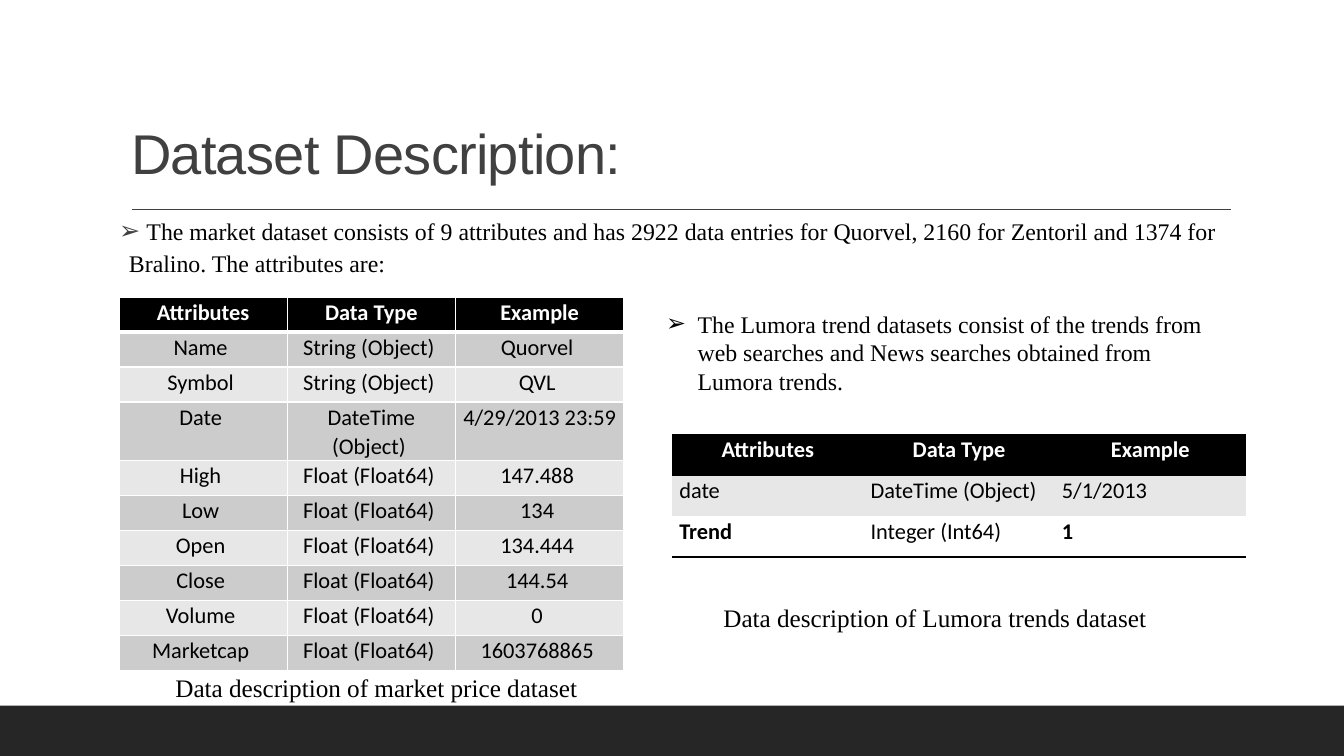
"""Builds the dataset description slide with two attribute tables."""
from lxml import etree
from pptx import Presentation
from pptx.dml.color import RGBColor
from pptx.enum.shapes import MSO_CONNECTOR, MSO_SHAPE
from pptx.enum.text import MSO_ANCHOR, MSO_AUTO_SIZE, PP_ALIGN
from pptx.oxml.ns import qn
from pptx.util import Cm, Pt

BOTTOM = MSO_ANCHOR.BOTTOM
CENTER, LEFT = PP_ALIGN.CENTER, PP_ALIGN.LEFT
NO_FIT = MSO_AUTO_SIZE.NONE
RECT = MSO_SHAPE.RECTANGLE
STRAIGHT = MSO_CONNECTOR.STRAIGHT
SERIF = "Times New Roman"
PLAIN_STYLE = "{2D5ABB26-0587-4C30-8999-92F81FD0307C}"
COLORS = {"black": "000000", "white": "FFFFFF", "dark": "262626",
          "gray": "404040", "band": "CCCCCC", "light": "E7E7E7"}
HEADER = ("Attributes", "Data Type", "Example")
MARKET = [("Name", "String (Object)", "Quorvel"),
          ("Symbol", "String (Object)", "QVL"),
          ("Date", "DateTime (Object)", "4/29/2013 23:59")]
MARKET += [(name, "Float (Float64)", value) for name, value in (
    ("High", "147.488"), ("Low", "134"), ("Open", "134.444"),
    ("Close", "144.54"), ("Volume", "0"), ("Marketcap", "1603768865"))]
TRENDS = [("date", "DateTime (Object)", "5/1/2013"),
          ("Trend", "Integer (Int64)", "1")]


def rgb(name):
    """Return the named colour."""
    return RGBColor.from_string(COLORS[name])


def place(sp, x, y, w, h):
    """Move and size a shape in centimetres."""
    sp.left, sp.top, sp.width, sp.height = Cm(x), Cm(y), Cm(w), Cm(h)


def add_run(p, text, size, font=SERIF, color="black", bold=False):
    """Add one formatted run."""
    r = p.add_run()
    r.text = text
    r.font.size, r.font.name, r.font.bold = Pt(size), font, bold
    r.font.color.rgb = rgb(color)
    return r


def set_bullet(p, indent, color):
    """Give a paragraph an arrow bullet and a hanging indent."""
    pPr = p._p.get_or_add_pPr()
    pPr.set("marL", str(Cm(indent)))
    pPr.set("indent", str(-Cm(indent)))
    clr = etree.SubElement(pPr, qn("a:buClr"))
    etree.SubElement(clr, qn("a:srgbClr"), val=COLORS[color])
    etree.SubElement(pPr, qn("a:buFont"), typeface="Arial")
    etree.SubElement(pPr, qn("a:buChar"), char="➢")


def add_text(s, text, box, size):
    """Add a wrapped text box and return its paragraph."""
    sp = s.shapes.add_textbox(*map(Cm, box))
    sp.text_frame.word_wrap = True
    p = sp.text_frame.paragraphs[0]
    add_run(p, text, size)
    return p


def set_borders(cell, borders):
    """Draw the given cell sides, each as a colour and a width."""
    tcPr = cell._tc.get_or_add_tcPr()
    for side in "LRTB":
        if side in borders:
            color, width = borders[side]
            ln = etree.SubElement(tcPr, qn(f"a:ln{side}"), w=str(Pt(width)))
            fill = etree.SubElement(ln, qn("a:solidFill"))
            etree.SubElement(fill, qn("a:srgbClr"), val=COLORS[color])


def fill_cell(cell, text, fill, color, align, bold, borders):
    """Format one table cell and write its text."""
    set_borders(cell, borders)
    cell.fill.solid()
    cell.fill.fore_color.rgb = rgb(fill)
    cell.margin_left = cell.margin_right = Cm(0.18)
    cell.margin_top = cell.margin_bottom = 0
    p = cell.text_frame.paragraphs[0]
    p.alignment, p.line_spacing = align, 1.07
    add_run(p, text, 16, "Calibri", color, bold)


def add_grid(s, x, y, col_w, row_h, count):
    """Add an unstyled three-column table."""
    tbl = s.shapes.add_table(count, 3, Cm(x), Cm(y),
                             Cm(3 * col_w), Cm(row_h * count)).table
    tbl._tbl.tblPr.find(qn("a:tableStyleId")).text = PLAIN_STYLE
    for col in tbl.columns:
        col.width = Cm(col_w)
    for row in tbl.rows:
        row.height = Cm(row_h)
    return tbl


def add_market_table(s):
    """Add the banded market price table."""
    tbl = add_grid(s, 3, 7.49, 4.24, 0.88, len(MARKET) + 1)
    grid = {side: ("white", 1) for side in "LRTB"}
    head = {**grid, "B": ("white", 3)}
    for j, text in enumerate(HEADER):
        fill_cell(tbl.cell(0, j), text, "black", "white", CENTER, True, head)
    for i, row in enumerate(MARKET, 1):
        borders = {**grid, "T": ("white", 3)} if i == 1 else grid
        for j, text in enumerate(row):
            fill_cell(tbl.cell(i, j), text + " ", "band" if i % 2 else "light",
                      "black", CENTER, False, borders)


def add_trends_table(s):
    """Add the search trends table with ruled header and end."""
    tbl = add_grid(s, 16.94, 10.95, 4.82, 1.03, len(TRENDS) + 1)
    rule = ("black", 1.5)
    for j, text in enumerate(HEADER):
        fill_cell(tbl.cell(0, j), text, "black", "white", CENTER, True,
                  {"T": rule, "B": rule})
    for i, row in enumerate(TRENDS, 1):
        last = i == len(TRENDS)
        for j, text in enumerate(row):
            fill_cell(tbl.cell(i, j), text, "white" if last else "light",
                      "black", LEFT, last and j != 1,
                      {"B": rule} if last else {})


def add_frame(s):
    """Add the bottom band and the rule under the title."""
    sp = s.shapes.add_shape(RECT, 0, Cm(17.78), Cm(33.87), Cm(1.27))
    sp.shadow.inherit = False
    sp.fill.solid()
    sp.fill.fore_color.rgb = rgb("dark")
    sp.line.fill.background()
    cx = s.shapes.add_connector(STRAIGHT, Cm(3.33), Cm(5.28), Cm(31.01), Cm(5.28))
    cx.line.color.rgb = rgb("gray")
    cx.line.width = Pt(1.25)
    etree.SubElement(cx._element.spPr, qn("a:effectLst"))


def fill_title(sp):
    """Place and write the title."""
    place(sp, 3.05, 0.79, 27.94, 4.04)
    tf = sp.text_frame
    tf.auto_size, tf.vertical_anchor = NO_FIT, BOTTOM
    p = tf.paragraphs[0]
    p.alignment, p.line_spacing = LEFT, 0.9
    r = add_run(p, "Dataset Description:", 40, "Arial", "gray")
    r._r.get_or_add_rPr().set("spc", "-50")


def fill_body(sp):
    """Place and write the market dataset bullet."""
    place(sp, 3, 5.23, 27.94, 2.44)
    tf = sp.text_frame
    tf.auto_size = NO_FIT
    tf.margin_left = tf.margin_right = 0
    p = tf.paragraphs[0]
    set_bullet(p, 0.25, "gray")
    p.line_spacing, p.space_before, p.space_after = 1.1, Pt(12), Pt(2)
    add_run(p, " ", 18, color="gray")
    add_run(p, "The market dataset consists of 9 attributes and has 2922 data "
            "entries for Quorvel, 2160 for Zentoril and 1374 for Bralino. "
            "The attributes are:", 17)


def main():
    """Build and save the slide."""
    prs = Presentation()
    prs.slide_width, prs.slide_height = Cm(33.87), Cm(19.05)
    s = prs.slides.add_slide(prs.slide_layouts[1])
    add_frame(s)
    fill_title(s.shapes.title)
    fill_body(s.placeholders[1])
    add_market_table(s)
    add_text(s, "Data description of market price dataset",
             (4.17, 16.81, 10.77, 1.02), 18)
    p = add_text(s, "The Lumora trend datasets consist of the trends from web "
                 "searches and News searches obtained from Lumora trends.",
                 (16.54, 7.67, 14.63, 2.44), 17)
    set_bullet(p, 0.79, "black")
    add_trends_table(s)
    add_text(s, "Data description of Lumora trends dataset",
             (17.98, 15.06, 11.3, 1.02), 18)
    prs.save("out.pptx")


if __name__ == "__main__":
    main()
